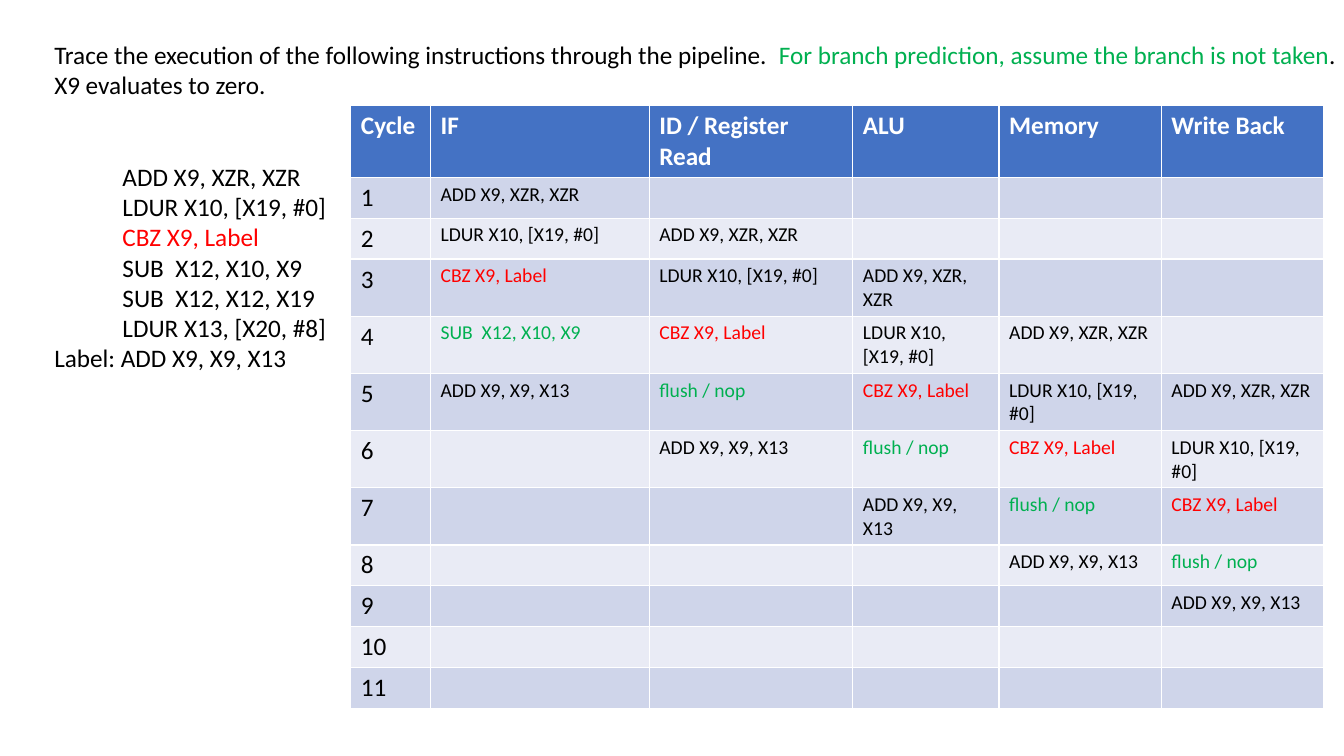
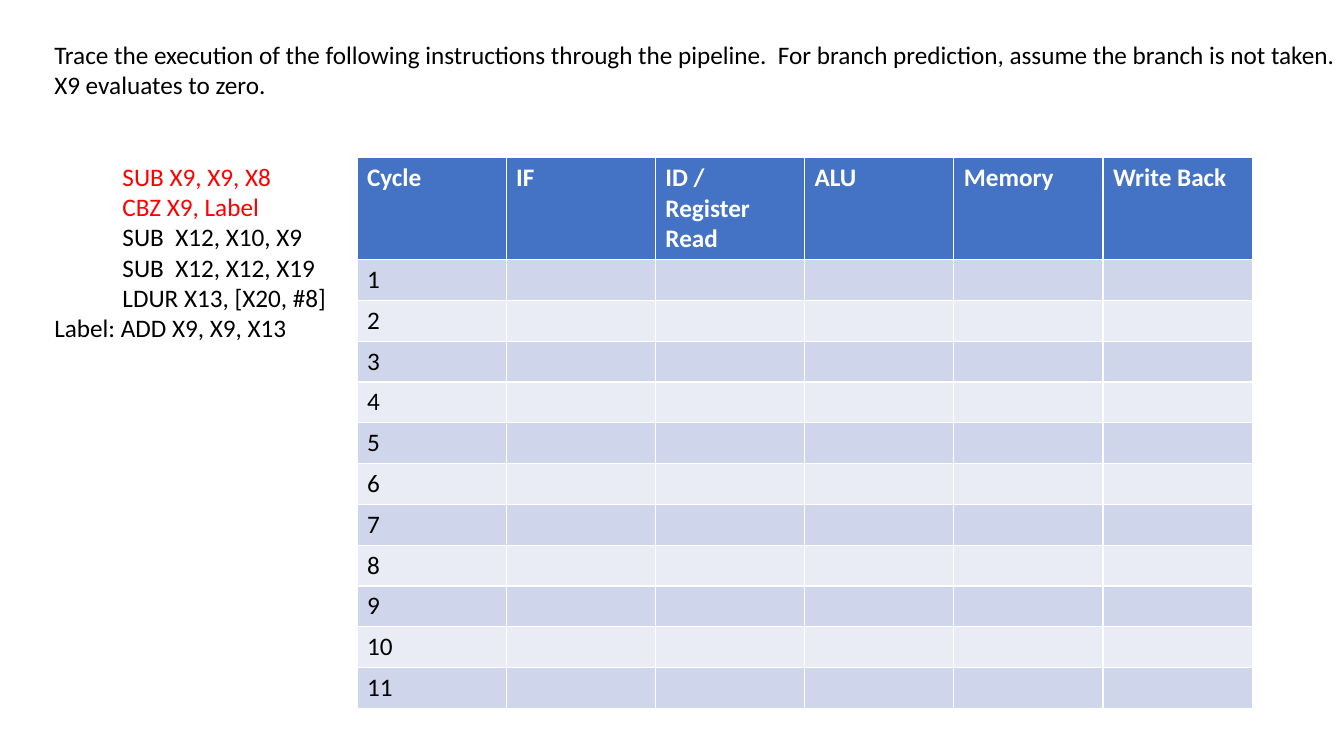
import pptx
import pptx.dml.color
import pptx.enum.text
import pptx.util

COLOURS = {
    "text": "000000",
    "branch": "FF0000",
    "prediction": "00B050",
    "header": "4472C4",
    "header text": "FFFFFF",
    "odd row": "CFD5EA",
    "even row": "E9EBF5",
}
FONT = "Calibri"
BODY_SIZE, STAGE_SIZE = 18, 14
SLIDE_SIZE = (13.33, 7.5)
TASK_AT = (0.44, 0.34, 13.07)
LINE = 0.305
CELL_PADDING = 0.1
CODE_GAP = 44
CYCLES = 11
STAGES = ["IF", "ID / Register Read", "ALU", "Memory", "Write Back"]

TASK = "Trace the execution of the following instructions through the pipeline.  "
PREDICTION = "For branch prediction, assume the branch is not taken"
CONDITION = "X9 evaluates to zero."
INDENT = " " * 12
SHARED_CODE = [
    (INDENT + "SUB  X12, X10, X9", "text"),
    (INDENT + "SUB  X12, X12, X19", "text"),
    (INDENT + "LDUR X13, [X20, #8]", "text"),
    ("Label: ADD X9, X9, X13", "text"),
]

# Each fetched instruction: its fetch stage, then what moves on when it is flushed.
FLUSH = ("flush / nop", "prediction")
FETCHES = [
    [("ADD X9, XZR, XZR", "text")],
    [("LDUR X10, [X19, #0]", "text")],
    [("CBZ X9, Label", "branch")],
    [("SUB  X12, X10, X9", "prediction"), FLUSH],
    [("ADD X9, X9, X13", "text")],
]

EXERCISES = [
    {
        "prediction colour": "prediction",
        "code": [
            (INDENT + "ADD X9, XZR, XZR", "text"),
            (INDENT + "LDUR X10, [X19, #0]", "text"),
            (INDENT + "CBZ X9, Label", "branch"),
        ],
        "table at": (3.48, 1.05),
        "columns": [0.79, 2.17, 2.02, 1.45, 1.61, 1.61],
        "header lines": 2,
        "fetches": FETCHES,
    },
    {
        "prediction colour": "text",
        "code": [
            (INDENT + "SUB X9, X9, X8", "branch"),
            (INDENT + "CBZ X9, Label", "branch"),
        ],
        "table at": (3.54, 1.56),
        "columns": [1.48] * 6,
        "header lines": 3,
        "fetches": [],
    },
]


def inches(*lengths):
    return [pptx.util.Inches(length) for length in lengths]


def rgb(colour):
    return pptx.dml.color.RGBColor.from_string(COLOURS[colour])


def add_run(paragraph, text, colour, size=BODY_SIZE, bold=False):
    run = paragraph.add_run()
    run.text = text
    font_format = {"name": FONT, "size": pptx.util.Pt(size), "bold": bold}
    for attribute, value in font_format.items():
        setattr(run.font, attribute, value)
    run.font.color.rgb = rgb(colour)


def fill_cell(cell, fill, text="", colour="text", **font):
    cell.fill.solid()
    cell.fill.fore_color.rgb = rgb(fill)
    if text:
        add_run(cell.text_frame.paragraphs[0], text, colour, **font)


def pipeline_trace(fetches):
    """Map (cycle, stage) to an instruction; each moves one stage per cycle."""
    return {
        (fetch_cycle + stage, stage): states[min(stage, len(states) - 1)]
        for fetch_cycle, states in enumerate(fetches, start=1)
        for stage in range(len(STAGES))
    }


def add_task(slide, exercise):
    code = exercise["code"] + SHARED_CODE
    lines = [
        [(TASK, "text"), (PREDICTION, exercise["prediction colour"]), (".", "text")],
        [(CONDITION, "text")],
    ] + [[instruction] for instruction in code]
    height = (len(lines) + 2) * LINE + CELL_PADDING
    frame = slide.shapes.add_textbox(*inches(*TASK_AT, height)).text_frame
    frame.word_wrap = False
    frame.auto_size = pptx.enum.text.MSO_AUTO_SIZE.SHAPE_TO_FIT_TEXT
    for index, runs in enumerate(lines):
        paragraph = frame.paragraphs[0] if index == 0 else frame.add_paragraph()
        if runs[0] == code[0]:
            paragraph.space_before = pptx.util.Pt(CODE_GAP)
        for text, colour in runs:
            add_run(paragraph, text, colour)


def add_pipeline(slide, exercise):
    columns = exercise["columns"]
    row_height = LINE + CELL_PADDING
    heights = [exercise["header lines"] * LINE + CELL_PADDING] + [row_height] * CYCLES
    place = inches(*exercise["table at"], sum(columns), sum(heights))
    table = slide.shapes.add_table(len(heights), len(columns), *place).table
    for column, width in zip(table.columns, inches(*columns)):
        column.width = width
    for row, height in zip(table.rows, inches(*heights)):
        row.height = height

    for index, heading in enumerate(["Cycle"] + STAGES):
        fill_cell(table.cell(0, index), "header", heading, "header text", bold=True)
    trace = pipeline_trace(exercise["fetches"])
    for cycle in range(1, CYCLES + 1):
        band = "odd row" if cycle % 2 else "even row"
        fill_cell(table.cell(cycle, 0), band, str(cycle))
        for stage in range(len(STAGES)):
            text, colour = trace.get((cycle, stage), ("", "text"))
            fill_cell(table.cell(cycle, stage + 1), band, text, colour, size=STAGE_SIZE)


def main():
    deck = pptx.Presentation()
    deck.slide_width, deck.slide_height = inches(*SLIDE_SIZE)
    for exercise in EXERCISES:
        slide = deck.slides.add_slide(deck.slide_layouts[6])
        add_task(slide, exercise)
        add_pipeline(slide, exercise)
    deck.save("out.pptx")


if __name__ == "__main__":
    main()
